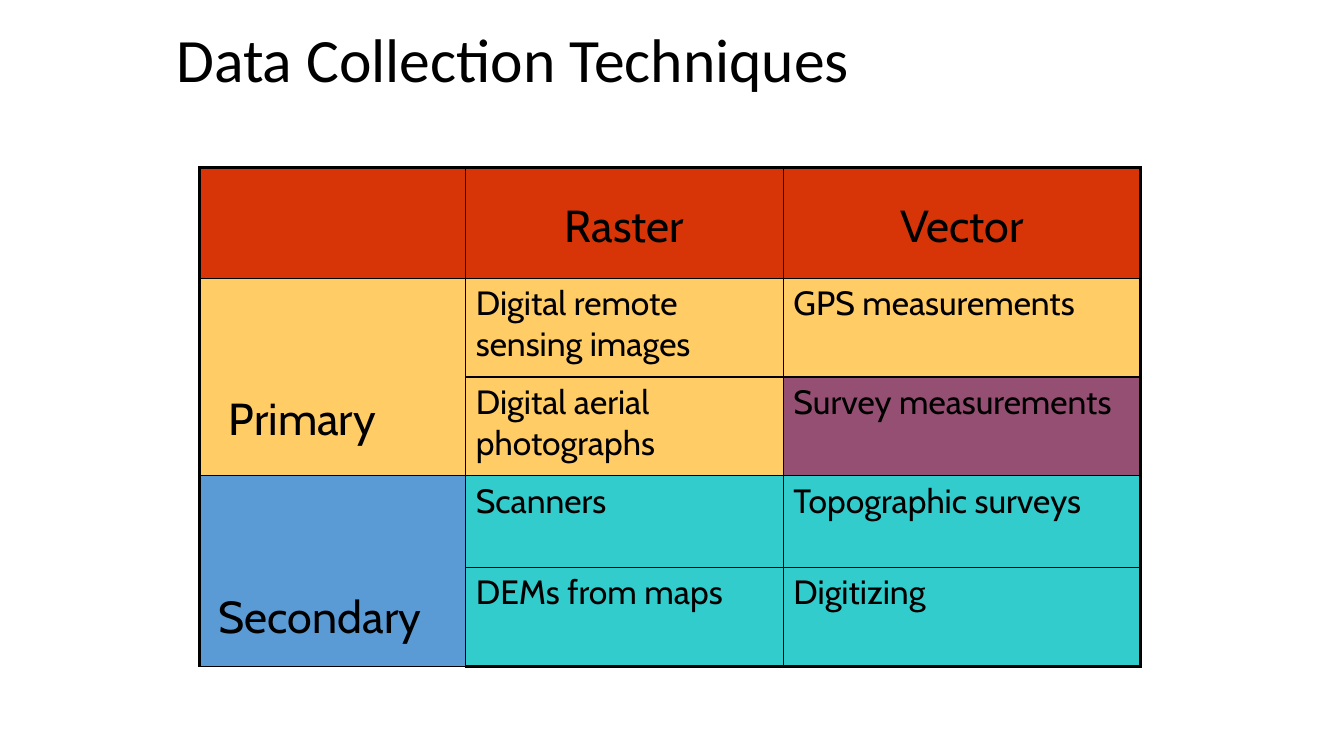
from dataclasses import dataclass

from lxml import etree
from pptx import Presentation
from pptx.dml.color import RGBColor
from pptx.enum.text import MSO_ANCHOR, PP_ALIGN
from pptx.oxml.ns import qn
from pptx.slide import Slide
from pptx.table import Table, _Cell
from pptx.util import Inches, Pt

MIDDLE = MSO_ANCHOR.MIDDLE
LEFT = PP_ALIGN.LEFT
CENTER = PP_ALIGN.CENTER
BLANK_LAYOUT = 6


@dataclass(frozen=True)
class Theme:
    title_font: str = "Calibri"
    table_font: str = "Cabin"
    title_size: int = 44
    heading_size: int = 32
    entry_size: int = 24
    black: str = "000000"
    red: str = "D73407"
    yellow: str = "FFCC66"
    purple: str = "954F72"
    blue: str = "5B9BD5"
    teal: str = "33CCCC"
    inner_line: float = 1
    outer_line: float = 2.25


THEME = Theme()


@dataclass(frozen=True)
class Entry:
    text: str
    fill: str
    size: int = THEME.entry_size
    align: PP_ALIGN = LEFT
    line_spacing: float = 1
    indent: float = 0.1


def column_heading(text: str) -> Entry:
    return Entry(text, THEME.red, THEME.heading_size, CENTER, 1.5)


def row_heading(text: str, fill: str, indent: float) -> Entry:
    return Entry(text, fill, THEME.heading_size, LEFT, 3, indent)


COLUMN_WIDTHS = (2.64, 3.15, 3.54)
ROW_HEIGHTS = (1.1, 0.98, 0.98, 0.91, 0.98)
GROUP_ROWS = (1, 3)
ENTRIES = (
    (Entry("", THEME.red), column_heading("Raster"), column_heading("Vector")),
    (
        row_heading("Primary", THEME.yellow, 0.29),
        Entry("Digital remote sensing images", THEME.yellow),
        Entry("GPS measurements", THEME.yellow),
    ),
    (
        Entry("", THEME.yellow),
        Entry("Digital aerial photographs", THEME.yellow),
        Entry("Survey measurements", THEME.purple),
    ),
    (
        row_heading("Secondary", THEME.blue, 0.19),
        Entry("Scanners", THEME.teal),
        Entry("Topographic surveys", THEME.teal),
    ),
    (
        Entry("", THEME.blue),
        Entry("DEMs from maps", THEME.teal),
        Entry("Digitizing", THEME.teal),
    ),
)


def add_title(page: Slide, text: str) -> None:
    box = page.shapes.add_textbox(Inches(1.65), Inches(0.17), Inches(10), Inches(0.91))
    frame = box.text_frame
    frame.word_wrap = True
    frame.vertical_anchor = MIDDLE
    para = frame.paragraphs[0]
    para.text = text
    para.line_spacing = 0.9
    para.font.name = THEME.title_font
    para.font.size = Pt(THEME.title_size)
    para.font.color.rgb = RGBColor.from_string(THEME.black)


def fill_cell(cell: _Cell, entry: Entry) -> None:
    cell.fill.solid()
    cell.fill.fore_color.rgb = RGBColor.from_string(entry.fill)
    cell.margin_left = Inches(entry.indent)
    if not entry.text:
        return
    para = cell.text_frame.paragraphs[0]
    para.text = entry.text
    para.alignment = entry.align
    para.line_spacing = entry.line_spacing
    para.font.name = THEME.table_font
    para.font.size = Pt(entry.size)
    para.font.color.rgb = RGBColor.from_string(THEME.black)


def draw_borders(cell: _Cell, row: int, column: int) -> None:
    outer_sides = {
        "a:lnL": column == 0,
        "a:lnR": column == len(COLUMN_WIDTHS) - 1,
        "a:lnT": row == 0,
        "a:lnB": row == len(ROW_HEIGHTS) - 1,
    }
    properties = cell._tc.get_or_add_tcPr()
    for position, (side, is_outer) in enumerate(outer_sides.items()):
        width = Pt(THEME.outer_line if is_outer else THEME.inner_line)
        line = etree.Element(qn(side), w=str(width))
        solid = etree.SubElement(line, qn("a:solidFill"))
        etree.SubElement(solid, qn("a:srgbClr"), val=THEME.black)
        properties.insert(position, line)


def add_techniques_table(page: Slide) -> Table:
    table = page.shapes.add_table(
        len(ROW_HEIGHTS),
        len(COLUMN_WIDTHS),
        Inches(1.98),
        Inches(1.66),
        Inches(sum(COLUMN_WIDTHS)),
        Inches(sum(ROW_HEIGHTS)),
    ).table
    table.first_row = False
    table.horz_banding = False
    for column, width in zip(table.columns, COLUMN_WIDTHS):
        column.width = Inches(width)
    for row, height in zip(table.rows, ROW_HEIGHTS):
        row.height = Inches(height)
    for row_index, entries in enumerate(ENTRIES):
        for column_index, entry in enumerate(entries):
            cell = table.cell(row_index, column_index)
            fill_cell(cell, entry)
            draw_borders(cell, row_index, column_index)
    for row_index in GROUP_ROWS:
        table.cell(row_index, 0).merge(table.cell(row_index + 1, 0))
    return table


def main() -> None:
    deck = Presentation()
    deck.slide_width = Inches(13.33)
    deck.slide_height = Inches(7.5)
    page = deck.slides.add_slide(deck.slide_layouts[BLANK_LAYOUT])
    add_title(page, "Data Collection Techniques")
    add_techniques_table(page)
    deck.save("out.pptx")


if __name__ == "__main__":
    main()
